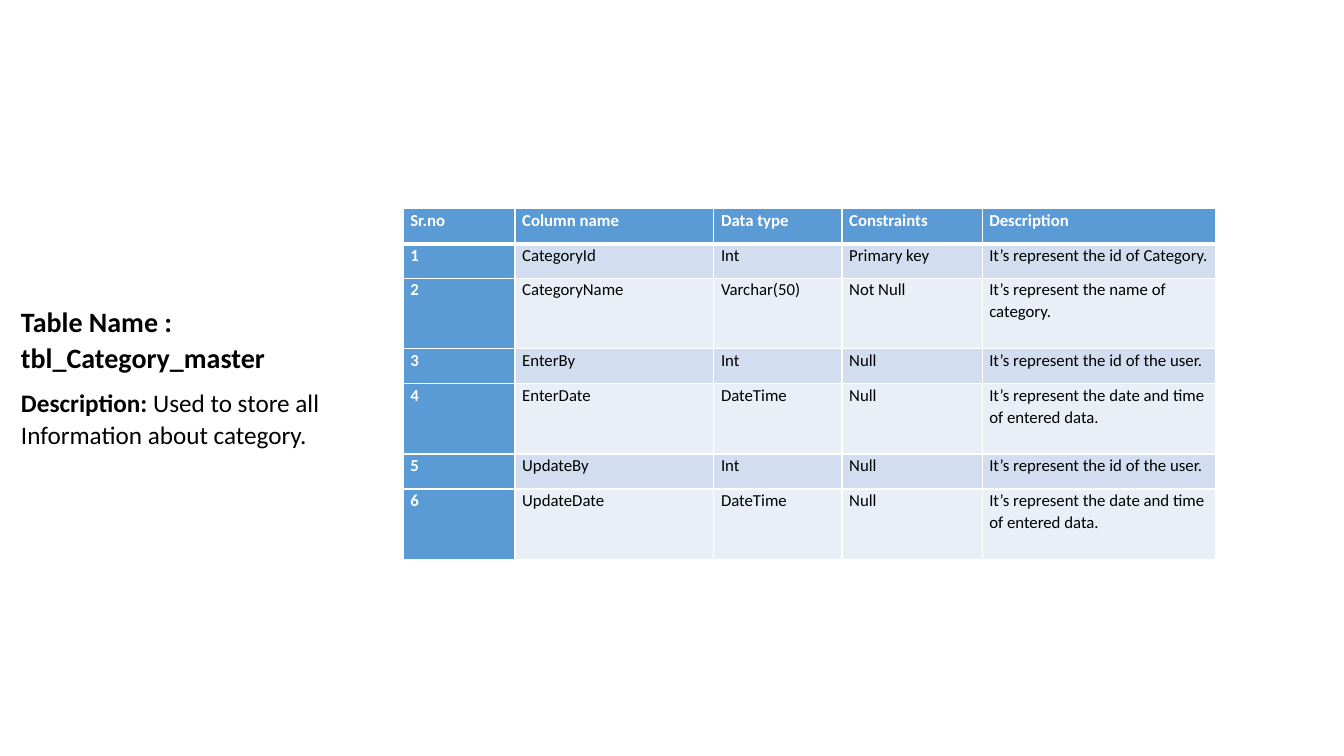
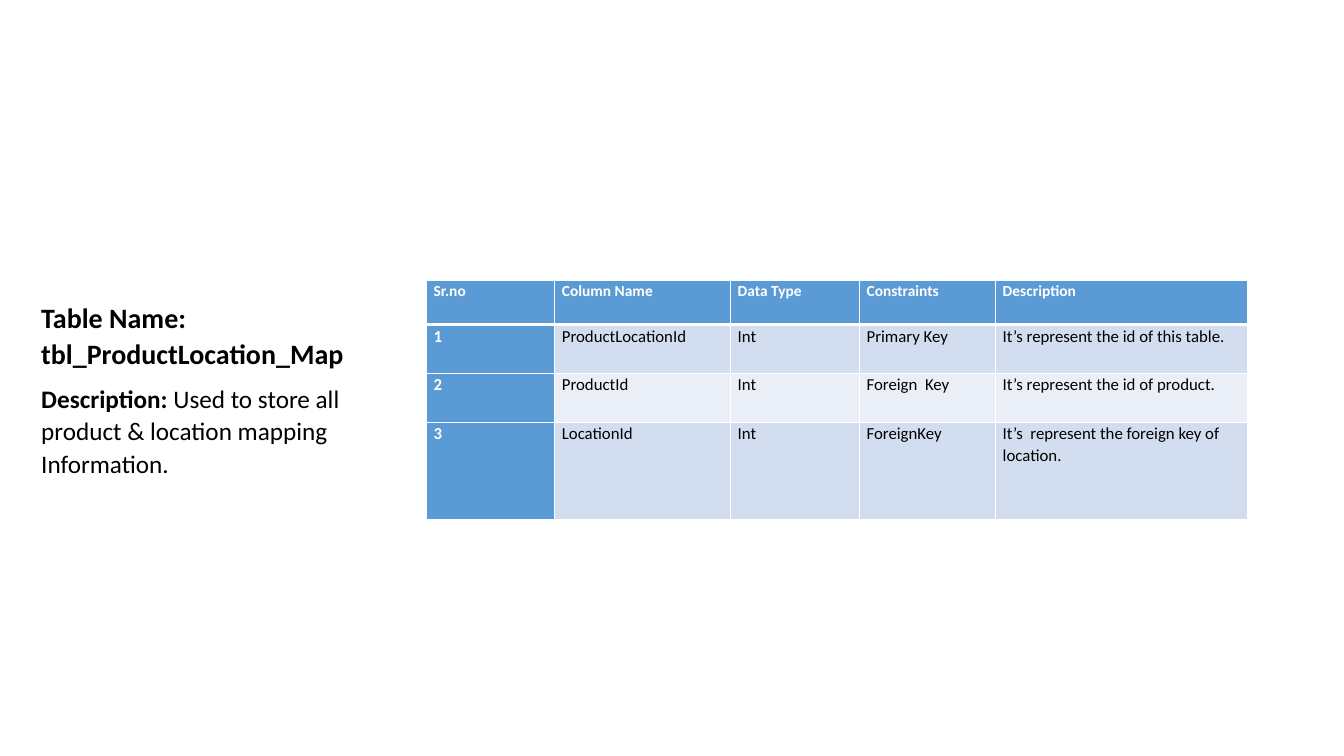
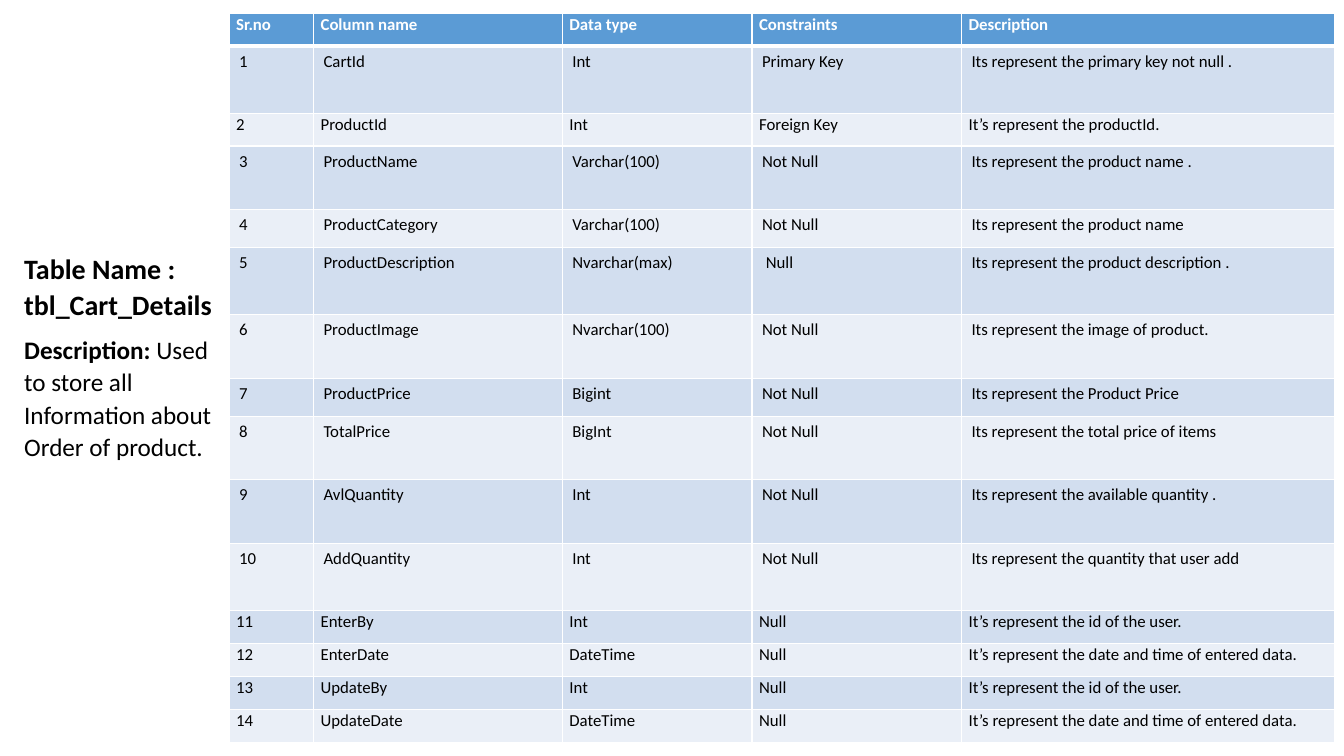
from dataclasses import dataclass

from lxml import etree
from pptx import Presentation
from pptx.dml.color import RGBColor
from pptx.enum.text import MSO_ANCHOR
from pptx.oxml.ns import qn
from pptx.util import Cm, Pt

TOP = MSO_ANCHOR.TOP
FONT = "Calibri"
BLACK, WHITE, BLUE = "000000", "FFFFFF", "5B9BD5"
BANDS = ("D2DEEF", "EAEFF7")
LINE_SPACING = 1.07
THIN, THICK = 1, 3
BLANK_LAYOUT = 6

HEADER = ("Sr.no", "Column name", "Data type", "Constraints", "Description")
HEADER_CAPS = ("Sr.no", "Column Name", "Data Type", "Constraints", "Description")

# Columns that record who changed a row and when
AUDIT = [
    ("EnterBy", "Int", "Null", "It’s represent the id of the user."),
    ("EnterDate", "DateTime", "Null", "It’s represent the date and time of entered data."),
    ("UpdateBy", "Int", "Null", "It’s represent the id of the user."),
    ("UpdateDate", "DateTime", "Null", "It’s represent the date and time of entered data."),
]


@dataclass
class TableSpec:
    """One database table; lengths are in centimetres."""
    heading: str
    purpose: str
    text_at: tuple[float, float, float, float]
    table_at: tuple[float, float]
    widths: list[float]
    heights: list[float]
    header: tuple[str, ...]
    rows: list[tuple[str, ...]]
    header_size: int = 12
    blue_numbers: bool = True
    loose_rows: tuple[int, ...] = ()


SPECS = [
    TableSpec(
        "Table Name : tbl_Category_master",
        " Used to store all Information about category.",
        (0.28, 7.49, 8.56, 3.99), (10.16, 5.26),
        [2.82, 5.01, 3.23, 3.53, 5.89],
        [0.88, 0.88, 1.77, 0.88, 1.77, 0.88, 1.77],
        HEADER,
        [("CategoryId", "Int", "Primary key", "It’s represent the id of Category."),
         ("CategoryName", "Varchar(50)", "Not Null", "It’s represent the name of category."),
         *AUDIT],
    ),
    TableSpec(
        "Table Name: tbl_ProductLocation_Map",
        " Used to store all product & location mapping  Information.",
        (0.79, 7.39, 9.09, 4.8), (10.75, 7.06),
        [3.23, 4.43, 3.25, 3.43, 6.35],
        [1.12, 1.23, 1.23, 2.46],
        HEADER_CAPS,
        [("ProductLocationId", "Int", "Primary Key", "It’s represent the id of this table."),
         ("ProductId", "Int", "Foreign  Key", "It’s represent the id of product."),
         ("LocationId", "Int", "ForeignKey", "It’s  represent the foreign key of location.")],
        header_size=11,
    ),
    TableSpec(
        "Table Name : tbl_Cart_Details",
        " Used to store all Information about Order of product.",
        (0.36, 6.15, 5.41, 6.68), (5.77, 0.33),
        [2.13, 6.27, 4.78, 5.28, 9.4],
        [0.83, 1.69, 0.83, 1.6, 0.96, 1.69, 1.6, 0.96, 1.6, 1.6, 1.69] + [0.83] * 4,
        HEADER,
        [("CartId", "Int", "Primary Key", "Its represent the primary key not null ."),
         ("ProductId", "Int", "Foreign Key", "It’s represent the productId."),
         ("ProductName", "Varchar(100)", "Not Null", "Its represent the product name ."),
         ("ProductCategory", "Varchar(100)", "Not Null", "Its represent the product name"),
         ("ProductDescription", "Nvarchar(max)", " Null",
          "Its represent the product description ."),
         ("ProductImage", "Nvarchar(100)", "Not Null", "Its represent the image of product."),
         ("ProductPrice", "Bigint", "Not Null", "Its represent the Product Price"),
         ("TotalPrice", "BigInt", "Not Null", "Its represent the total price of items"),
         ("AvlQuantity", "Int", "Not Null", "Its represent the available quantity ."),
         ("AddQuantity", "Int", "Not Null", "Its represent the quantity that user add"),
         *AUDIT],
        blue_numbers=False,
        loose_rows=(1, *range(3, 11)),
    ),
]


def rgb(value: str) -> RGBColor:
    return RGBColor.from_string(value)


def add_text(p, text: str, *, size: int = 12, color: str = BLACK, bold: bool = False) -> None:
    r = p.add_run()
    r.text = text
    r.font.name = FONT
    r.font.size = Pt(size)
    r.font.bold = bold
    r.font.color.rgb = rgb(color)


def add_borders(cell, *, top: int = THIN, bottom: int = THIN) -> None:
    tc_pr = cell._tc.get_or_add_tcPr()
    for side, width in (("L", THIN), ("R", THIN), ("T", top), ("B", bottom)):
        ln = etree.SubElement(tc_pr, qn(f"a:ln{side}"), w=str(Pt(width)))
        fill = etree.SubElement(ln, qn("a:solidFill"))
        etree.SubElement(fill, qn("a:srgbClr"), val=WHITE)


def add_summary(s, spec: TableSpec) -> None:
    tf = s.shapes.add_textbox(*(Cm(v) for v in spec.text_at)).text_frame
    tf.word_wrap = True
    tf.vertical_anchor = TOP
    heading, purpose = tf.paragraphs[0], tf.add_paragraph()
    for p in (heading, purpose):
        p.line_spacing = LINE_SPACING
        p.space_after = Pt(8)
    add_text(heading, spec.heading, size=20, bold=True)
    add_text(purpose, "Description:", size=18, bold=True)
    add_text(purpose, spec.purpose, size=18)


def fill_cell(cell, text: str, row: int, col: int, spec: TableSpec) -> None:
    is_header = row == 0
    accent = is_header or (col == 0 and spec.blue_numbers)
    # Borders come before the fill in the cell's properties
    add_borders(cell, top=THICK if row == 1 else THIN, bottom=THICK if is_header else THIN)
    cell.fill.solid()
    cell.fill.fore_color.rgb = rgb(BLUE if accent else BANDS[(row - 1) % 2])
    p = cell.text_frame.paragraphs[0]
    if row not in spec.loose_rows:
        cell.margin_left = cell.margin_right = Cm(0.18)
        cell.margin_top = cell.margin_bottom = 0
        p.line_spacing = LINE_SPACING
    add_text(p, text, size=spec.header_size if is_header else 12,
             color=WHITE if accent else BLACK, bold=accent)


def add_columns_table(s, spec: TableSpec) -> None:
    rows = [spec.header] + [(str(n), *row) for n, row in enumerate(spec.rows, 1)]
    left, top = spec.table_at
    table = s.shapes.add_table(len(rows), len(spec.widths), Cm(left), Cm(top),
                               Cm(sum(spec.widths)), Cm(sum(spec.heights))).table
    table.first_col = spec.blue_numbers
    for column, width in zip(table.columns, spec.widths):
        column.width = Cm(width)
    for row, height in zip(table.rows, spec.heights):
        row.height = Cm(height)
    for i, texts in enumerate(rows):
        for j, text in enumerate(texts):
            fill_cell(table.cell(i, j), text, i, j, spec)


def main() -> None:
    prs = Presentation()
    prs.slide_width, prs.slide_height = Cm(33.87), Cm(19.05)
    for spec in SPECS:
        s = prs.slides.add_slide(prs.slide_layouts[BLANK_LAYOUT])
        add_summary(s, spec)
        add_columns_table(s, spec)
    prs.save("out.pptx")


if __name__ == "__main__":
    main()
